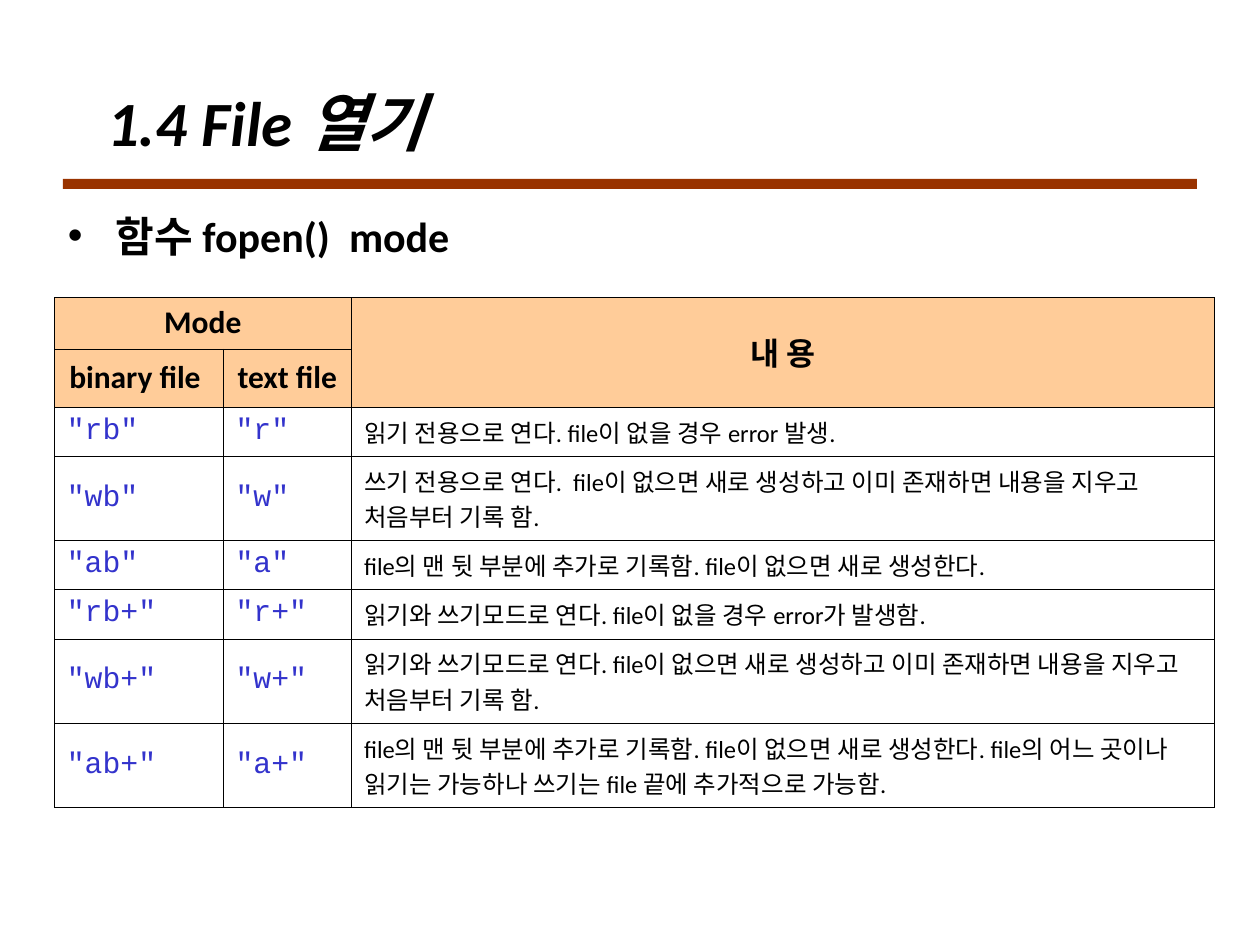
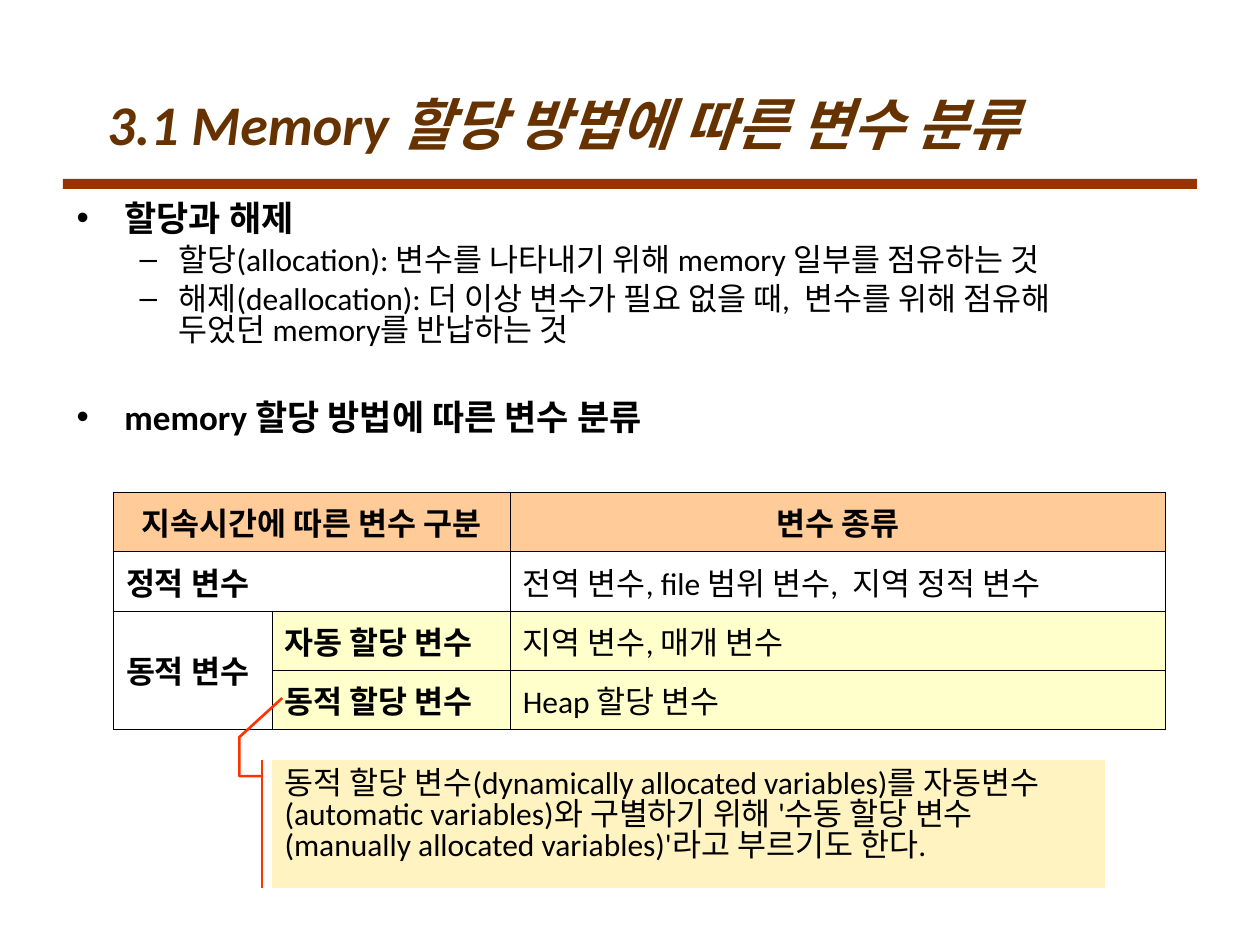
from lxml.etree import SubElement as Sub
from pptx import Presentation
from pptx.dml.color import RGBColor
from pptx.enum.shapes import MSO_SHAPE as Shape
from pptx.enum.text import MSO_ANCHOR as Anchor, MSO_AUTO_SIZE as Auto, PP_ALIGN as Align
from pptx.oxml.ns import qn
from pptx.util import Pt

PX = 9144  # 100 px to the inch
FONT, MONO = "Calibri", "Courier New"
BLACK, BROWN, BLUE, RUST, RED = "000000", "663300", "3333CC", "993300", "FF3300"
PEACH, LEMON, CREAM = "FFCC99", "FFFFCC", "FFF3C1"
TIGHT = 0.82
rgb = RGBColor.from_string


def style(par, size, color=BLACK, bold=False, italic=False, name=FONT):
    font = par.font
    font.name, font.size, font.bold, font.italic = name, Pt(size), bold, italic
    font.color.rgb = rgb(color)


def grid(slide, x, y, cols, rows, inner, outer, spans):
    """Add an unfilled table with inner and outer border widths in points."""
    frame = slide.shapes.add_table(len(rows), len(cols), x * PX, y * PX,
                                   sum(cols) * PX, sum(rows) * PX)
    table = frame.table
    table.first_row = table.horz_banding = False
    for col, wide in zip(table.columns, cols):
        col.width = wide * PX
    for row, high in zip(table.rows, rows):
        row.height = high * PX
    for r in range(len(rows)):
        for c in range(len(cols)):
            cell = table.cell(r, c)
            cell.vertical_anchor = Anchor.MIDDLE
            props = cell._tc.get_or_add_tcPr()
            edges = {"lnL": c == 0, "lnR": c == len(cols) - 1,
                     "lnT": r == 0, "lnB": r == len(rows) - 1}
            for tag, rim in edges.items():
                line = Sub(props, qn("a:" + tag), w=str(Pt(outer if rim else inner)))
                Sub(Sub(line, qn("a:solidFill")), qn("a:srgbClr"), val=BLACK)
            cell.fill.background()
    for start, end in spans:
        table.cell(*start).merge(table.cell(*end))
    return table


deck = Presentation()
deck.slide_width, deck.slide_height = 1000 * PX, 750 * PX

# Titles, bands and bullets
# Bullet: level, text, size, space before
pages = [
    ("1.4 File 열기", 36, BLACK, 50, (44, 162, 67), 1.0,
     [(0, "함수 fopen()  mode", 24, 0)]),
    ("3.1 Memory 할당 방법에 따른 변수 분류", 32, BROWN, 52, (51, 157, 225), TIGHT,
     [(0, "할당과 해제", 20, 0),
      (1, "할당(allocation): 변수를 나타내기 위해 memory 일부를 점유하는 것", 18, 4.5),
      (1, "해제(deallocation): 더 이상 변수가 필요 없을 때,  변수를 위해 점유해 "
          "두었던 memory를 반납하는 것", 18, 4.5),
      (0, "memory 할당 방법에 따른 변수 분류", 20, 32)]),
]
marks = [("•", 38, 38), ("–", 81, 31)]
slides = []
for head, size, color, top, (x, y, high), pitch, notes in pages:
    slide = deck.slides.add_slide(deck.slide_layouts[5])
    slides.append(slide)
    title = slide.shapes.title
    title.left, title.top, title.width, title.height = 75 * PX, top * PX, 850 * PX, 92 * PX
    text = title.text_frame
    text.text = head
    text.auto_size = Auto.NONE
    text.vertical_anchor = Anchor.MIDDLE
    text.paragraphs[0].alignment = Align.LEFT
    style(text.paragraphs[0], size, color, True, True)

    band = slide.shapes.add_shape(Shape.RECTANGLE, 50 * PX, 142 * PX, 900 * PX, 8 * PX)
    band.shadow.inherit = False
    band.fill.solid()
    band.fill.fore_color.rgb = rgb(RUST)
    band.line.fill.background()

    text = slide.shapes.add_textbox(x * PX, y * PX, 850 * PX, high * PX).text_frame
    text.word_wrap = True
    for i, (level, words, size, gap) in enumerate(notes):
        par = text.add_paragraph() if i else text.paragraphs[0]
        par.text = words
        mark, left, hang = marks[level]
        props = par._p.get_or_add_pPr()
        props.set("marL", str(left * PX))
        props.set("indent", str(-hang * PX))
        Sub(props, qn("a:buFont"), typeface="Arial")
        Sub(props, qn("a:buChar"), char=mark)
        par.level = level
        par.line_spacing = pitch
        par.space_before = Pt(gap)
        style(par, size, bold=level == 0)

# fopen() modes
modes = [
    ("r", "읽기 전용으로 연다. file이 없을 경우 error 발생."),
    ("w", "쓰기 전용으로 연다.  file이 없으면 새로 생성하고 이미 존재하면 내용을 지우고 "
          "처음부터 기록 함."),
    ("a", "file의 맨 뒷 부분에 추가로 기록함. file이 없으면 새로 생성한다."),
    ("r+", "읽기와 쓰기모드로 연다. file이 없을 경우 error가 발생함."),
    ("w+", "읽기와 쓰기모드로 연다. file이 없으면 새로 생성하고 이미 존재하면 내용을 "
           "지우고 처음부터 기록 함."),
    ("a+", "file의 맨 뒷 부분에 추가로 기록함. file이 없으면 새로 생성한다. file의 어느 "
           "곳이나 읽기는 가능하나 쓰기는 file 끝에 추가적으로 가능함."),
]
table = grid(slides[0], 43, 236, [134, 102, 685], [41, 46, 39, 67, 39, 39, 67, 67],
             0.06, 0.06, [((0, 0), (0, 1)), ((0, 2), (1, 2))])
heads = {(0, 0): "Mode", (0, 2): "내 용", (1, 0): "binary file ", (1, 1): "text file"}
for spot, words in heads.items():
    cell = table.cell(*spot)
    cell.fill.solid()
    cell.fill.fore_color.rgb = rgb(PEACH)
    cell.text = words
    par = cell.text_frame.paragraphs[0]
    par.alignment = Align.CENTER
    style(par, 18, bold=True)
for r, (mode, about) in enumerate(modes, 2):
    binary = mode[0] + "b" + mode[1:]
    for c, words in enumerate([f'"{binary}"', f'"{mode}"', about]):
        cell = table.cell(r, c)
        cell.text = words
        par = cell.text_frame.paragraphs[0]
        if c < 2:
            par.alignment = Align.JUSTIFY
            style(par, 17, BLUE, name=MONO)
        else:
            style(par, 14)

# Kinds of variables
kinds = [
    ("지속시간에 따른 변수 구분", None, "변수 종류"),
    ("정적 변수", None, "전역 변수, file 범위 변수,  지역 정적 변수"),
    ("동적 변수", "자동 할당 변수", "지역 변수, 매개 변수"),
    (None, "동적 할당 변수", "Heap 할당 변수"),
]
table = grid(slides[1], 90, 391, [126, 189, 520], [47] * 4, 0.45, 1.08,
             [((0, 0), (0, 1)), ((1, 0), (1, 1)), ((2, 0), (3, 0))])
for r, row in enumerate(kinds):
    for c, words in enumerate(row):
        if words is None:
            continue
        cell = table.cell(r, c)
        cell.text = words
        if r == 0 or (r > 1 and c > 0):
            cell.fill.solid()
            cell.fill.fore_color.rgb = rgb(LEMON if r else PEACH)
        par = cell.text_frame.paragraphs[0]
        par.alignment = Align.LEFT if r else Align.CENTER
        style(par, 18, bold=r == 0 or c < 2)

# Callout on manually allocated variables
note = slides[1].shapes.add_shape(Shape.LINE_CALLOUT_3_ACCENT_BAR,
                                  216 * PX, 603 * PX, 661 * PX, 102 * PX)
note.shadow.inherit = False
note.fill.solid()
note.fill.fore_color.rgb = rgb(CREAM)
note.line.color.rgb = rgb(RED)
note.line.width = Pt(1.5)
bends = [(208, 616), (190, 616), (190, 585), (224, 554)]
for i, (x, y) in enumerate(bends):
    note.adjustments[2 * i] = (y - 603) / 102
    note.adjustments[2 * i + 1] = (x - 216) / 661
text = note.text_frame
text.word_wrap = True
text.vertical_anchor = Anchor.TOP
text.margin_top = 8 * PX
text.text = ("동적 할당 변수(dynamically allocated variables)를 자동변수"
             "(automatic variables)와 구별하기 위해 '수동 할당 변수"
             "(manually allocated variables)'라고 부르기도 한다.")
par = text.paragraphs[0]
par.alignment = Align.LEFT
par.line_spacing = TIGHT
style(par, 18)

deck.save("out.pptx")
